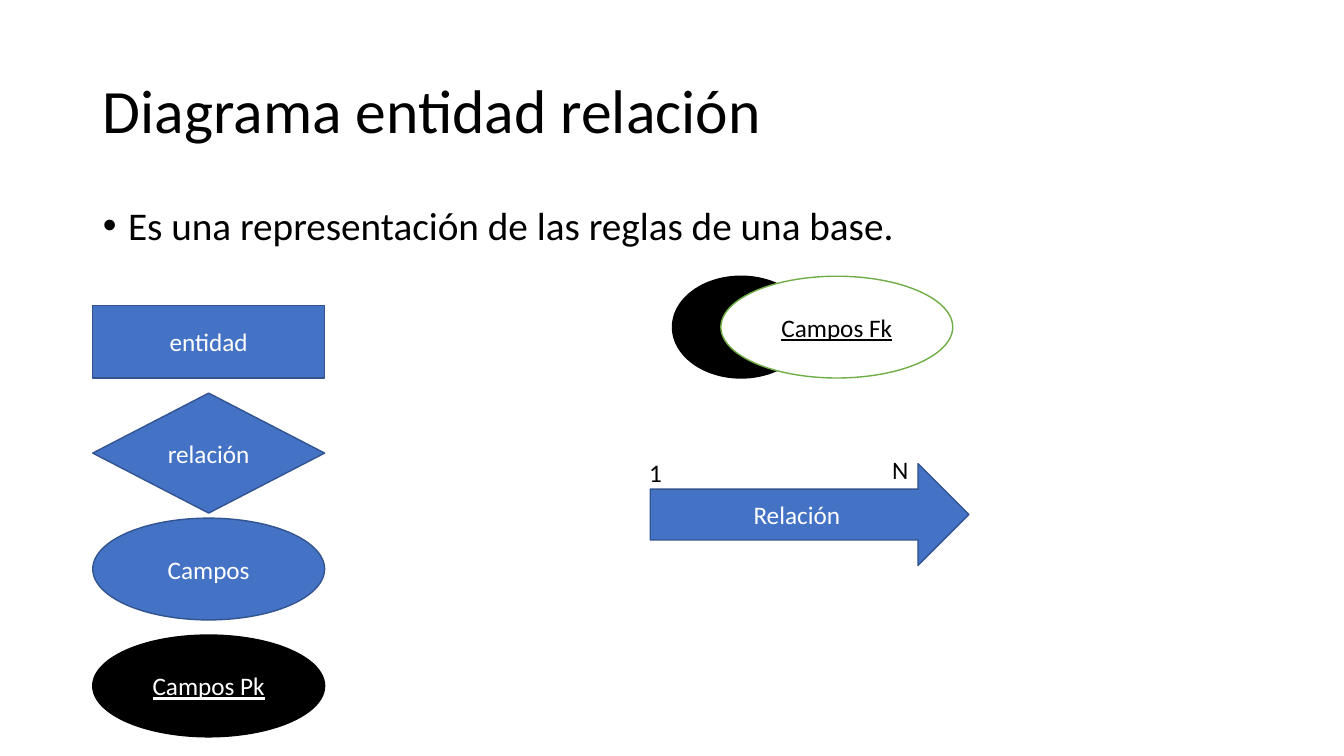
from dataclasses import dataclass
from pptx import Presentation
from pptx.dml.color import RGBColor
from pptx.enum.shapes import MSO_SHAPE as Form
from pptx.enum.text import MSO_ANCHOR as Anchor, MSO_AUTO_SIZE as Fit, PP_ALIGN as Align
from pptx.util import Inches, Pt


@dataclass(frozen=True)
class Theme:
    font: str = "Calibri"
    blue: str = "4472C4"
    navy: str = "325491"
    green: str = "70AD47"
    black: str = "000000"
    white: str = "FFFFFF"
    head: int = 44
    body: int = 28
    label: int = 18
    edge: int = 1


class Deck:
    def __init__(self, theme):
        self.theme = theme
        self.prs = Presentation()
        self.prs.slide_width, self.prs.slide_height = Inches(13.33), Inches(7.5)
        self.slide = self.prs.slides.add_slide(self.prs.slide_layouts[1])

    def label(self, frame, text, size, color, align=Align.LEFT, under=None):
        """Put one styled paragraph in the frame and return it."""
        frame.text = text
        par = frame.paragraphs[0]
        par.alignment = align
        font = par.font
        font.name, font.size, font.underline = self.theme.font, Pt(size), under
        font.color.rgb = RGBColor.from_string(color)
        return par

    def holder(self, index, box, text, size, anchor):
        """Move and fill a placeholder; return its paragraph."""
        item = self.slide.placeholders[index]
        item.left, item.top, item.width, item.height = map(Inches, box)
        frame = item.text_frame
        frame.auto_size, frame.vertical_anchor = Fit.NONE, anchor
        par = self.label(frame, text, size, self.theme.black)
        par.line_spacing = 0.9
        return par

    def title(self, box, text):
        self.holder(0, box, text, self.theme.head, Anchor.MIDDLE)

    def bullet(self, box, text):
        par = self.holder(1, box, text, self.theme.body, Anchor.TOP)
        par.space_before = Pt(10)
        props = par._p.get_or_add_pPr()
        props.set("marL", str(Inches(0.25)))
        props.set("indent", str(Inches(-0.25)))

    def shape(self, form, box, fill, line, text="", ink=None, under=None):
        item = self.slide.shapes.add_shape(form, *map(Inches, box))
        item.shadow.inherit = False
        item.fill.solid()
        item.fill.fore_color.rgb = RGBColor.from_string(fill)
        item.line.color.rgb = RGBColor.from_string(line)
        item.line.width = Pt(self.theme.edge)
        if text:
            frame = item.text_frame
            frame.vertical_anchor = Anchor.MIDDLE
            self.label(frame, text, self.theme.label, ink or self.theme.white,
                       Align.CENTER, under)
        return item

    def note(self, box, text):
        frame = self.slide.shapes.add_textbox(*map(Inches, box)).text_frame
        frame.word_wrap, frame.auto_size = False, Fit.SHAPE_TO_FIT_TEXT
        self.label(frame, text, self.theme.label, self.theme.black)

    def save(self):
        self.prs.save("out.pptx")


def main():
    look = Theme()
    deck = Deck(look)
    left, wide, tall = 0.92, 2.3, 1.01
    blue = (look.blue, look.navy)
    dark = (look.black, look.black)

    shade = deck.shape(Form.OVAL, (6.67, 2.74, 1.36, tall), *dark)
    deck.slide.shapes._spTree.insert(2, shade._element)  # behind the placeholders
    deck.title((left, 0.4, 11.5, 1.45), "Diagrama entidad relación")
    deck.bullet((left, 2, 11.5, 4.76), "Es una representación de las reglas de una base.")

    for form, top, high, tint, text, under in (
        (Form.RECTANGLE, 3.03, 0.72, blue, "entidad", None),
        (Form.DIAMOND, 3.9, 1.19, blue, "relación", None),
        (Form.OVAL, 5.14, tall, blue, "Campos", None),
        (Form.OVAL, 6.3, tall, dark, "Campos Pk", True),
    ):
        deck.shape(form, (left, top, wide, high), *tint, text, under=under)

    deck.shape(Form.OVAL, (7.15, 2.74, wide, tall), look.white, look.green,
               "Campos Fk", look.black, True)
    deck.shape(Form.RIGHT_ARROW, (6.45, 4.6, 3.16, tall), *blue, "Relación")
    deck.note((6.34, 4.49, 0.33, 0.4), "1")
    deck.note((8.75, 4.46, 0.36, 0.4), "N")
    deck.save()


if __name__ == "__main__":
    main()
